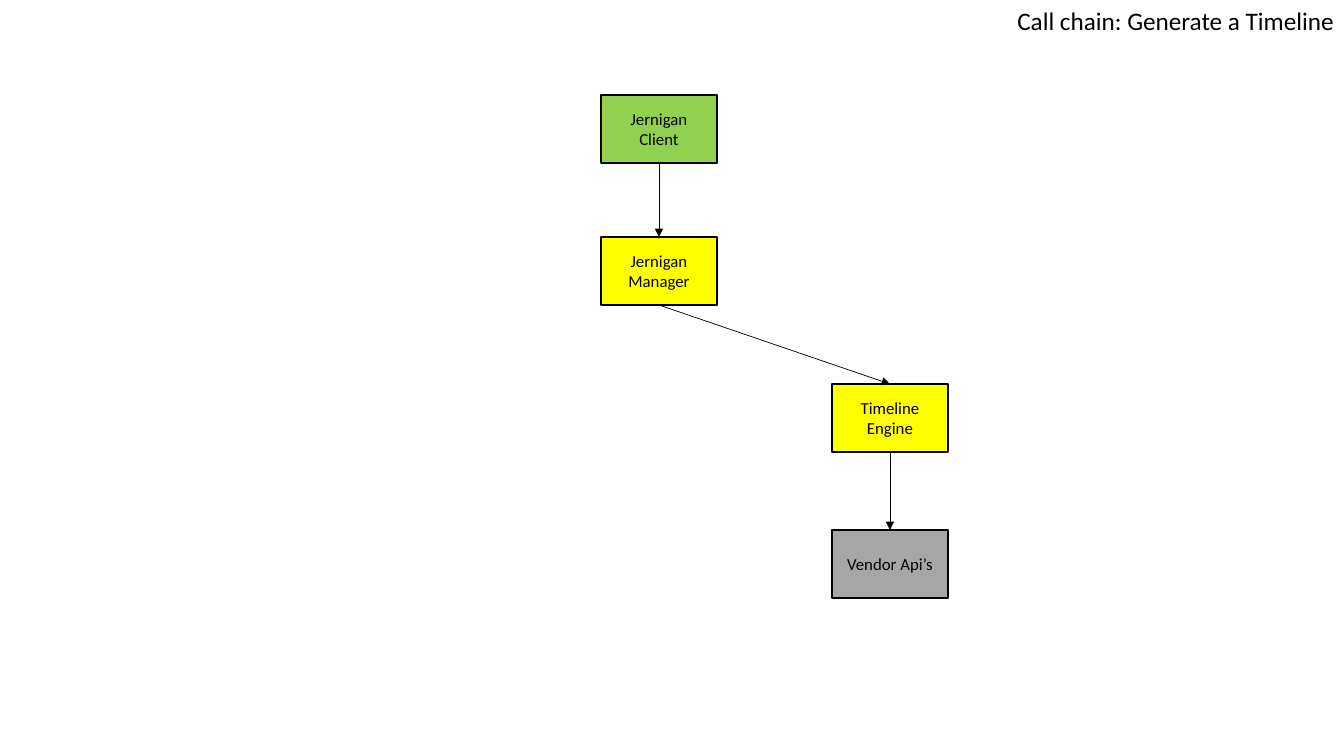
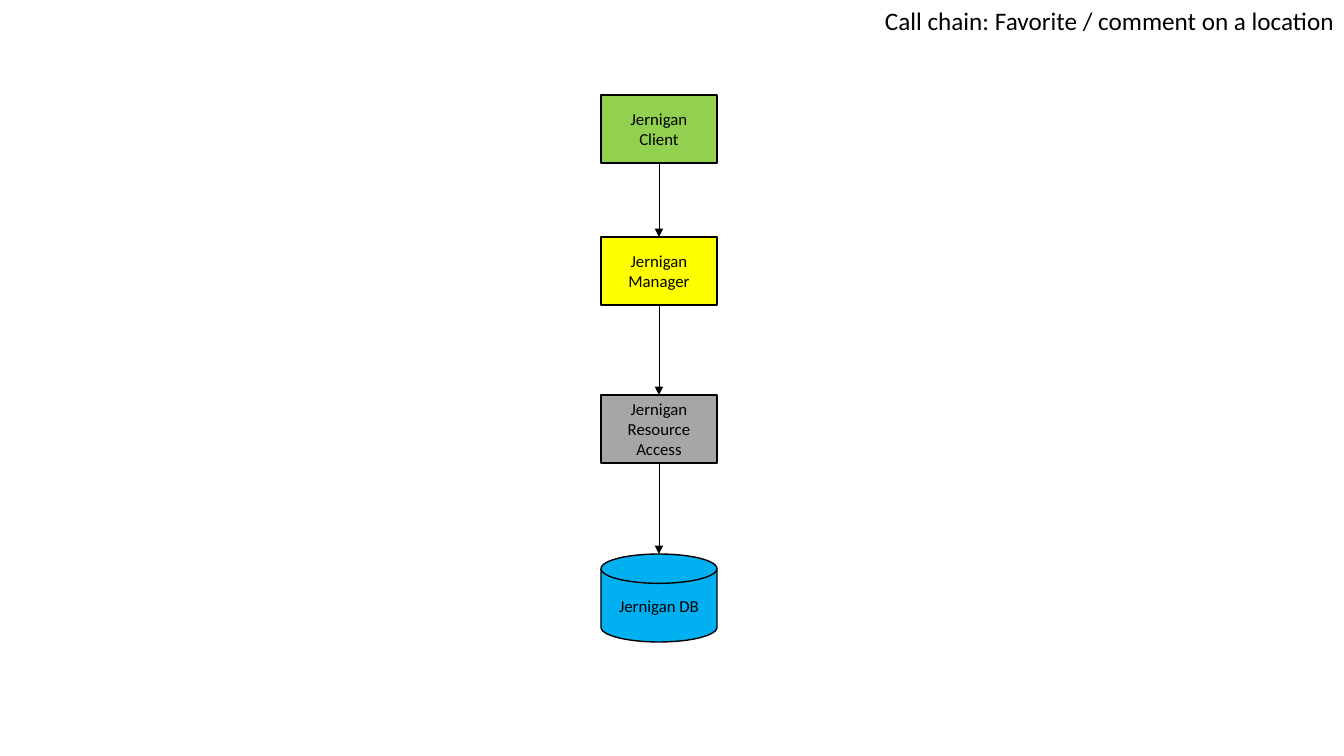
from lxml import etree
from pptx import Presentation
from pptx.dml.color import RGBColor
from pptx.enum.shapes import MSO_CONNECTOR, MSO_SHAPE
from pptx.enum.text import MSO_ANCHOR, MSO_AUTO_SIZE, PP_ALIGN
from pptx.oxml.ns import qn
from pptx.util import Emu, Pt

STRAIGHT = MSO_CONNECTOR.STRAIGHT
RECTANGLE = MSO_SHAPE.RECTANGLE
DISK = MSO_SHAPE.FLOWCHART_MAGNETIC_DISK
MIDDLE = MSO_ANCHOR.MIDDLE
FIT_SHAPE = MSO_AUTO_SIZE.SHAPE_TO_FIT_TEXT
CENTER, RIGHT = PP_ALIGN.CENTER, PP_ALIGN.RIGHT

FONT = "Calibri"
BLACK, GREEN, YELLOW, GRAY, BLUE = "000000", "92D050", "FFFF00", "A6A6A6", "00B0F0"
TITLE_SIZE, BOX_SIZE = 18, 12
BOX_LINE, ARROW_LINE = 1, 0.5

PIXEL = 914400 / 100.8
PAGE_WIDTH, PAGE_HEIGHT = 1344, 756
TITLE_WIDTH, TITLE_HEIGHT = 556, 40
BOX_WIDTH, BOX_HEIGHT, DISK_HEIGHT = 116, 68, 88
MAIN_LEFT, SIDE_LEFT = 601, 832
BOTTOM_SITE, TOP_SITE = 2, 0

# Each step: label, fill, left, top, shape kind
SHARED_STEPS = [
    ("Jernigan Client", GREEN, MAIN_LEFT, 95, RECTANGLE),
    ("Jernigan Manager", YELLOW, MAIN_LEFT, 237, RECTANGLE),
]
CALL_CHAINS = [
    ("Call chain: Generate a Timeline", [
        ("Timeline Engine", YELLOW, SIDE_LEFT, 384, RECTANGLE),
        ("Vendor Api’s", GRAY, SIDE_LEFT, 530, RECTANGLE),
    ]),
    ("Call chain: Favorite / comment on a location", [
        ("Jernigan Resource Access", GRAY, MAIN_LEFT, 395, RECTANGLE),
        ("Jernigan DB", BLUE, MAIN_LEFT, 554, DISK),
    ]),
]


def px(*lengths):
    """Turn pixel lengths into a list of EMU lengths."""
    return [Emu(round(length * PIXEL)) for length in lengths]


def color(value):
    """Turn a hex string into a colour."""
    return RGBColor.from_string(value)


def write(shape, text, size, align):
    """Put one vertically centred line of text into a shape."""
    frame = shape.text_frame
    frame.word_wrap = True
    frame.vertical_anchor = MIDDLE
    para = frame.paragraphs[0]
    para.alignment = align
    span = para.add_run()
    span.text = text
    span.font.name = FONT
    span.font.size = Pt(size)
    span.font.color.rgb = color(BLACK)


def add_title(page, text):
    """Add the title in the top right corner."""
    box = page.shapes.add_textbox(
        *px(PAGE_WIDTH - TITLE_WIDTH, 0, TITLE_WIDTH, TITLE_HEIGHT))
    write(box, text, TITLE_SIZE, RIGHT)
    box.text_frame.auto_size = FIT_SHAPE


def add_step(page, label, fill, left, top, kind):
    """Add one component of the call chain and return its shape."""
    height = DISK_HEIGHT if kind == DISK else BOX_HEIGHT
    box = page.shapes.add_shape(kind, *px(left, top, BOX_WIDTH, height))
    box.shadow.inherit = False
    box.fill.solid()
    box.fill.fore_color.rgb = color(fill)
    box.line.color.rgb = color(BLACK)
    box.line.width = Pt(BOX_LINE)
    write(box, label, BOX_SIZE, CENTER)
    return box


def add_arrow(page, caller, callee):
    """Draw an arrow from the foot of the caller to the top of the callee."""
    arrow = page.shapes.add_connector(
        STRAIGHT,
        caller.left + caller.width // 2, caller.top + caller.height,
        callee.left + callee.width // 2, callee.top)
    arrow.begin_connect(caller, BOTTOM_SITE)
    if callee.auto_shape_type == RECTANGLE:
        arrow.end_connect(callee, TOP_SITE)
    arrow.line.color.rgb = color(BLACK)
    arrow.line.width = Pt(ARROW_LINE)
    etree.SubElement(arrow.line._get_or_add_ln(), qn("a:tailEnd"), type="triangle")
    etree.SubElement(arrow._element.spPr, qn("a:effectLst"))


def build_page(deck, title, own_steps):
    """Build one slide with its title, components and arrows."""
    page = deck.slides.add_slide(deck.slide_layouts[6])
    add_title(page, title)
    boxes = [add_step(page, *step) for step in SHARED_STEPS + own_steps]
    for caller, callee in zip(boxes, boxes[1:]):
        add_arrow(page, caller, callee)


deck = Presentation()
deck.slide_width, deck.slide_height = px(PAGE_WIDTH, PAGE_HEIGHT)
for title, own_steps in CALL_CHAINS:
    build_page(deck, title, own_steps)
deck.save("out.pptx")
